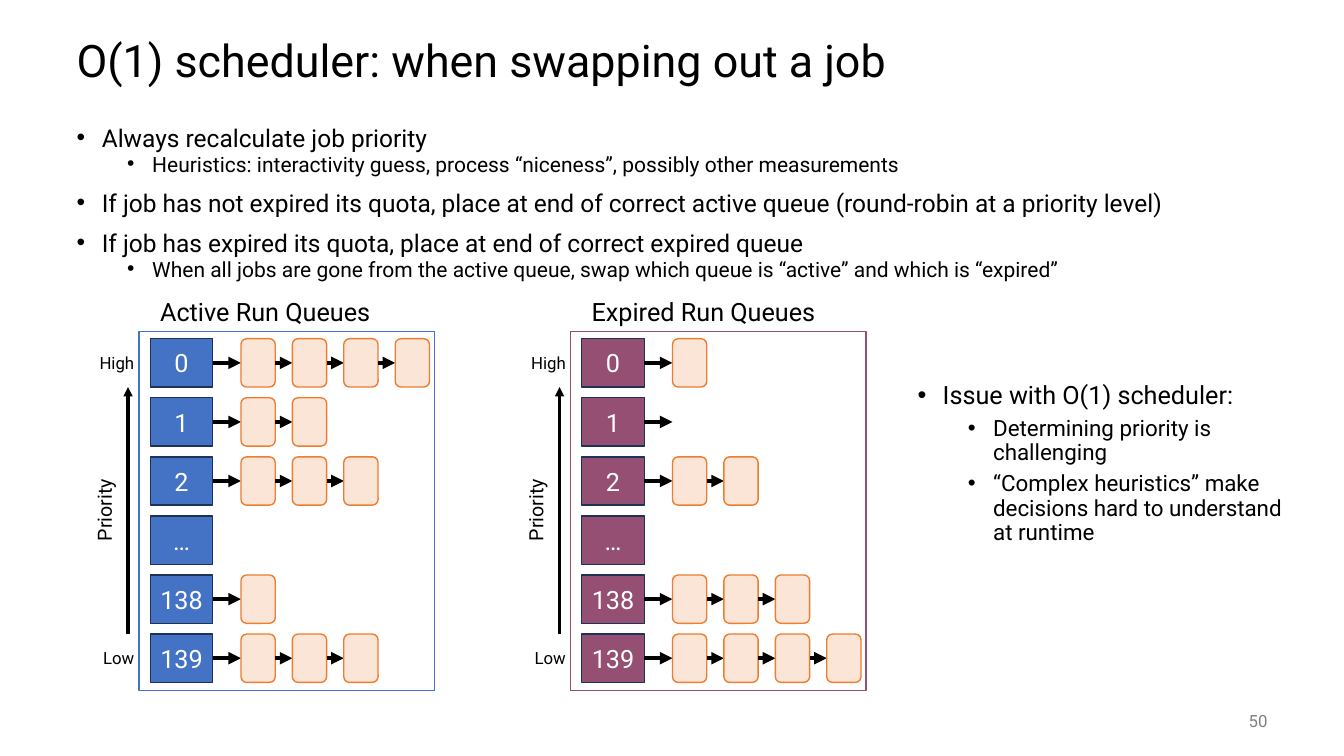
from dataclasses import dataclass

from lxml.etree import SubElement
from pptx import Presentation
from pptx.dml.color import RGBColor
from pptx.enum.shapes import MSO_CONNECTOR, MSO_SHAPE
from pptx.enum.text import MSO_ANCHOR, MSO_AUTO_SIZE, PP_ALIGN
from pptx.oxml.ns import qn
from pptx.shapes.autoshape import Shape
from pptx.shapes.connector import Connector
from pptx.slide import Slide
from pptx.text.text import TextFrame, _Paragraph
from pptx.util import Inches, Pt

FONT = "Roboto"
COLORS = {
    "black": "000000",
    "white": "FFFFFF",
    "gray": "808080",
    "blue": "4472C4",
    "plum": "954F72",
    "navy": "1E3256",
    "peach": "FBE5D6",
    "orange": "ED7D31",
}
LABELS = ["0", "1", "2", "…", "138", "139"]
TOP, LAST = 3.36, 6.29
PITCH = (LAST - TOP) / (len(LABELS) - 1)
CELL_W, JOB_W, ROW_H = 0.62, 0.34, 0.48
JOB_X, JOB_STEP = 0.9, 0.51


@dataclass
class Box:
    left: float
    top: float
    width: float
    height: float


@dataclass
class Item:
    text: str
    level: int = 0


@dataclass
class Queue:
    title: str
    left: float
    color: str
    jobs: list[int | None]


QUEUES = [
    Queue("Active Run Queues", 1.49, "blue", [4, 2, 3, None, 1, 3]),
    Queue("Expired Run Queues", 5.77, "plum", [1, 0, 2, None, 3, 4]),
]
RULES = [
    Item("Always recalculate job priority"),
    Item("Heuristics: interactivity guess, process “niceness”, possibly other measurements", 1),
    Item("If job has not expired its quota, place at end of correct active queue (round-robin at a priority level)"),
    Item("If job has expired its quota, place at end of correct expired queue"),
    Item("When all jobs are gone from the active queue, swap which queue is “active” and which is “expired”", 1),
]
ISSUES = [
    Item("Issue with O(1) scheduler:"),
    Item("Determining priority is challenging", 1),
    Item("“Complex heuristics” make decisions hard to understand at runtime", 1),
]


def color(name: str) -> RGBColor:
    return RGBColor.from_string(COLORS[name])


def place(shape: Shape, box: Box) -> None:
    shape.left, shape.top = Inches(box.left), Inches(box.top)
    shape.width, shape.height = Inches(box.width), Inches(box.height)


def style(para: _Paragraph, size: float, tone: str = "black") -> None:
    para.font.name = FONT
    para.font.size = Pt(size)
    para.font.color.rgb = color(tone)


def write(frame: TextFrame, text: str, size: float, align: PP_ALIGN, tone: str = "black") -> None:
    para = frame.paragraphs[0]
    para.text = text
    para.alignment = align
    style(para, size, tone)


def add_text(slide: Slide, box: Box, text: str, size: float,
             align: PP_ALIGN = PP_ALIGN.LEFT, tone: str = "black") -> Shape:
    label = slide.shapes.add_textbox(0, 0, 0, 0)
    place(label, box)
    label.text_frame.word_wrap = True
    write(label.text_frame, text, size, align, tone)
    return label


def fill_list(shape: Shape, box: Box, items: list[Item], sizes: list[float], lead: float) -> None:
    place(shape, box)
    frame = shape.text_frame
    frame.auto_size = MSO_AUTO_SIZE.NONE
    for index, item in enumerate(items):
        para = frame.add_paragraph() if index else frame.paragraphs[0]
        para.text = item.text
        para.level = item.level
        para.line_spacing = lead
        para.space_before = Pt((5 if item.level else 14) if index else 0)
        props = para._p.get_or_add_pPr()
        props.set("marL", str(Inches(0.25 + 0.5 * item.level)))
        props.set("indent", str(Inches(-0.25)))
        SubElement(props, qn("a:buFont"), typeface="Arial")
        SubElement(props, qn("a:buChar"), char="•")
        style(para, sizes[item.level])


def add_box(slide: Slide, kind: MSO_SHAPE, box: Box, fill: str | None, edge: str) -> Shape:
    shape = slide.shapes.add_shape(kind, 0, 0, 0, 0)
    place(shape, box)
    shape.shadow.inherit = False
    if fill:
        shape.fill.solid()
        shape.fill.fore_color.rgb = color(fill)
    else:
        shape.fill.background()
    shape.line.color.rgb = color(edge)
    shape.line.width = Pt(1)
    return shape


def add_arrow(slide: Slide, x1: float, y1: float, x2: float, y2: float, width: float) -> Connector:
    arrow = slide.shapes.add_connector(
        MSO_CONNECTOR.STRAIGHT, Inches(x1), Inches(y1), Inches(x2), Inches(y2))
    arrow.line.color.rgb = color("black")
    arrow.line.width = Pt(width)
    props = arrow._element.spPr
    SubElement(props.find(qn("a:ln")), qn("a:tailEnd"), type="triangle")
    SubElement(props, qn("a:effectLst"))
    return arrow


def add_row(slide: Slide, queue: Queue, row: int) -> None:
    top = TOP + row * PITCH
    mid = top + ROW_H / 2
    cell = add_box(slide, MSO_SHAPE.RECTANGLE, Box(queue.left, top, CELL_W, ROW_H), queue.color, "navy")
    cell.text_frame.word_wrap = False
    cell.text_frame.vertical_anchor = MSO_ANCHOR.MIDDLE
    write(cell.text_frame, LABELS[row], 18, PP_ALIGN.CENTER, "white")
    count = queue.jobs[row]
    if count is None:
        return
    prev, end = cell, queue.left + CELL_W
    for index in range(max(count, 1)):
        left = queue.left + JOB_X + index * JOB_STEP
        arrow = add_arrow(slide, end, mid, left, mid, 3)
        arrow.begin_connect(prev, 3)
        if count:
            prev = add_box(slide, MSO_SHAPE.ROUNDED_RECTANGLE,
                           Box(left, top, JOB_W, ROW_H), "peach", "orange")
            arrow.end_connect(prev, 1)
            end = left + JOB_W


def add_queue(slide: Slide, queue: Queue) -> None:
    left = queue.left
    for row in range(len(LABELS)):
        add_row(slide, queue, row)
    add_box(slide, MSO_SHAPE.RECTANGLE, Box(left - 0.11, 3.29, 2.93, 3.56), None, queue.color)
    add_text(slide, Box(left, 2.89, 2.76, 0.4), queue.title, 18)
    axis = add_text(slide, Box(left - 1.31, 4.89, 1.71, 0.34), "Priority", 14, PP_ALIGN.CENTER)
    axis.rotation = 270
    add_arrow(slide, left - 0.22, 6.29, left - 0.22, 3.84, 2.25)
    for text, top in (("High", 3.45), ("Low", 6.38)):
        add_text(slide, Box(left - 0.68, top, 0.62, 0.3), text, 12, PP_ALIGN.RIGHT)


def main() -> None:
    deck = Presentation()
    deck.slide_width, deck.slide_height = Inches(13.33), Inches(7.5)
    slide = deck.slides.add_slide(deck.slide_layouts[3])
    title, rules, issues = slide.placeholders
    place(title, Box(0.66, 0.25, 12, 0.75))
    title.text_frame.auto_size = MSO_AUTO_SIZE.NONE
    title.text_frame.vertical_anchor = MSO_ANCHOR.MIDDLE
    write(title.text_frame, "O(1) scheduler: when swapping out a job", 32, PP_ALIGN.LEFT)
    title.text_frame.paragraphs[0].line_spacing = 0.9
    fill_list(rules, Box(0.66, 1.25, 12, 1.72), RULES, [17.5, 15], 0.7)
    fill_list(issues, Box(9, 3.75, 3.99, 3), ISSUES, [18, 16], 0.9)
    number = add_text(slide, Box(11.67, 6.95, 1, 0.4), "50", 12, PP_ALIGN.RIGHT, "gray")
    number.text_frame.vertical_anchor = MSO_ANCHOR.MIDDLE
    for queue in QUEUES:
        add_queue(slide, queue)
    deck.save("out.pptx")


if __name__ == "__main__":
    main()
